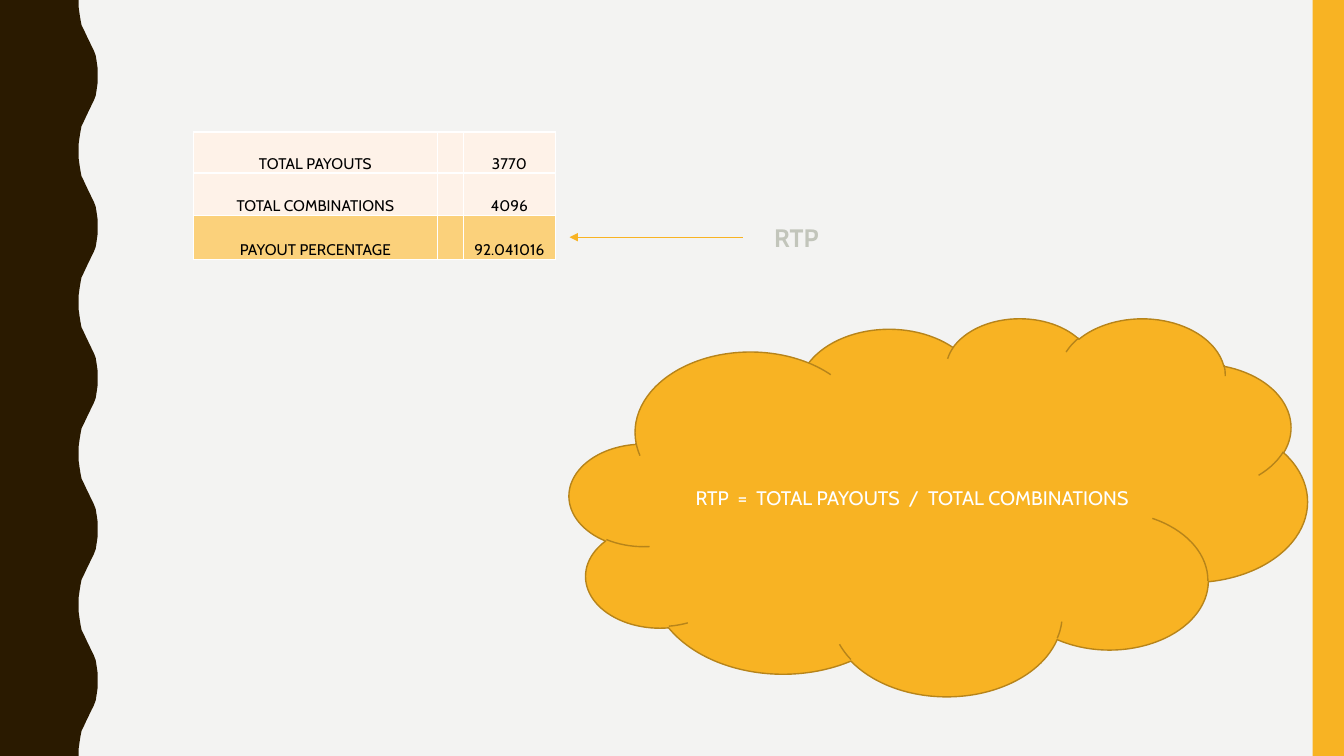
"""Build the return-to-player slide: payout table, arrow label and formula cloud."""
from lxml.etree import SubElement
from pptx import Presentation
from pptx.dml.color import RGBColor
from pptx.enum.shapes import MSO_CONNECTOR as Link, MSO_SHAPE as Shape
from pptx.enum.text import MSO_ANCHOR as Anchor, MSO_AUTO_SIZE as AutoSize, PP_ALIGN as Align
from pptx.oxml import parse_xml
from pptx.oxml.ns import nsdecls, qn
from pptx.util import Pt

COLORS = {
    "paper": "F3F3F2", "bark": "2A1A00", "amber": "F8B323", "amber_dark": "B7841A",
    "cream": "FEF2E8", "honey": "FBD17B", "white": "FFFFFF", "black": "000000",
    "sage": "C2C5BB", "moss": "656A59",
}


def color(name):
    return RGBColor.from_string(COLORS[name])


def write(frame, text, size=14, ink="white", bold=False, align=Align.CENTER):
    paragraph = frame.paragraphs[0]
    paragraph.alignment = align
    run = paragraph.add_run()
    run.text = text
    run.font.name = "Cabin"
    run.font.size = Pt(size)
    run.font.bold = bold
    run.font.color.rgb = color(ink)
    return run


deck = Presentation()
deck.slide_width, deck.slide_height = Pt(960), Pt(540)
slide = deck.slides.add_slide(deck.slide_layouts[6])
slide.background.fill.solid()
slide.background.fill.fore_color.rgb = color("paper")

half_wave = [
    (56.2, 0), (56.2, 5), (56.9, 10), (57.6, 14.4), (58.3, 18), (59.8, 21), (61.2, 24),
    (62.6, 27), (64.1, 30), (65.5, 33), (67, 36), (68.4, 39.6), (69.1, 44), (69.8, 49),
    (69.8, 54),
]
wave = half_wave + [(x, 108 - y) for x, y in reversed(half_wave[:-1])]
edge = [(x, y + 108 * period) for period in range(5) for x, y in wave]
outline = slide.shapes.build_freeform(0, 0)
outline.add_line_segments([(Pt(x), Pt(y)) for x, y in edge + [(0, 540)]], close=True)
wavy_band = outline.convert_to_shape()
amber_band = slide.shapes.add_shape(Shape.RECTANGLE, Pt(937.6), 0, Pt(22.4), Pt(540))
cloud = slide.shapes.add_shape(Shape.CLOUD, Pt(406.8), Pt(226.8), Pt(527), Pt(270))
for part, fill in ((wavy_band, "bark"), (amber_band, "amber"), (cloud, "amber")):
    part.shadow.inherit = False
    part.fill.solid()
    part.fill.fore_color.rgb = color(fill)
    part.line.fill.background()
cloud.line.color.rgb = color("amber_dark")
cloud.line.width = Pt(1)
cloud.text_frame.word_wrap = True
cloud.text_frame.vertical_anchor = Anchor.MIDDLE
write(cloud.text_frame, "RTP  =  TOTAL PAYOUTS  /  TOTAL COMBINATIONS")

payout_rows = [
    ("TOTAL PAYOUTS", "", "3770", "cream"),
    ("TOTAL COMBINATIONS", "", "4096", "cream"),
    ("PAYOUT PERCENTAGE", "", "92.041016", "honey"),
]
payouts = slide.shapes.add_table(3, 3, Pt(138.2), Pt(94.3), Pt(258.5), Pt(90.8)).table
payouts.first_row = payouts.horz_banding = False
for column, width in zip(payouts.columns, (174.2, 18.7, 65.6)):
    column.width = Pt(width)
for row, height, (*texts, fill) in zip(payouts.rows, (29.2, 30.6, 31), payout_rows):
    row.height = Pt(height)
    for cell, text in zip(row.cells, texts):
        cell.fill.solid()
        cell.fill.fore_color.rgb = color(fill)
        cell.vertical_anchor = Anchor.BOTTOM
        cell.margin_left = cell.margin_right = cell.margin_top = Pt(0.7)
        cell.margin_bottom = 0
        if text:
            write(cell.text_frame, text, size=11, ink="black")
        for position, side in enumerate(("lnL", "lnR", "lnT", "lnB")):
            cell._tc.tcPr.insert(position, parse_xml(
                f'<a:{side} {nsdecls("a")} w="12700"><a:solidFill>'
                f'<a:srgbClr val="{COLORS["white"]}"/></a:solidFill></a:{side}>'))

arrow = slide.shapes.add_connector(Link.STRAIGHT, Pt(530.6), Pt(169.4), Pt(406.8), Pt(169.4))
arrow.line.color.rgb = color("amber")
arrow.line.width = Pt(0.5)
SubElement(arrow.line._get_or_add_ln(), qn("a:tailEnd"), type="triangle")
SubElement(arrow._element.spPr, qn("a:effectLst"))

rtp_label = slide.shapes.add_textbox(Pt(545.8), Pt(155.5), Pt(50.4), Pt(28.8)).text_frame
rtp_label.word_wrap = False
rtp_label.auto_size = AutoSize.SHAPE_TO_FIT_TEXT
rtp = write(rtp_label, "RTP", size=18, ink="sage", bold=True, align=Align.LEFT)
rtp.font._element.insert(0, parse_xml(
    f'<a:ln {nsdecls("a")} w="22225"><a:solidFill>'
    f'<a:srgbClr val="{COLORS["moss"]}"/></a:solidFill></a:ln>'))

deck.save("out.pptx")
